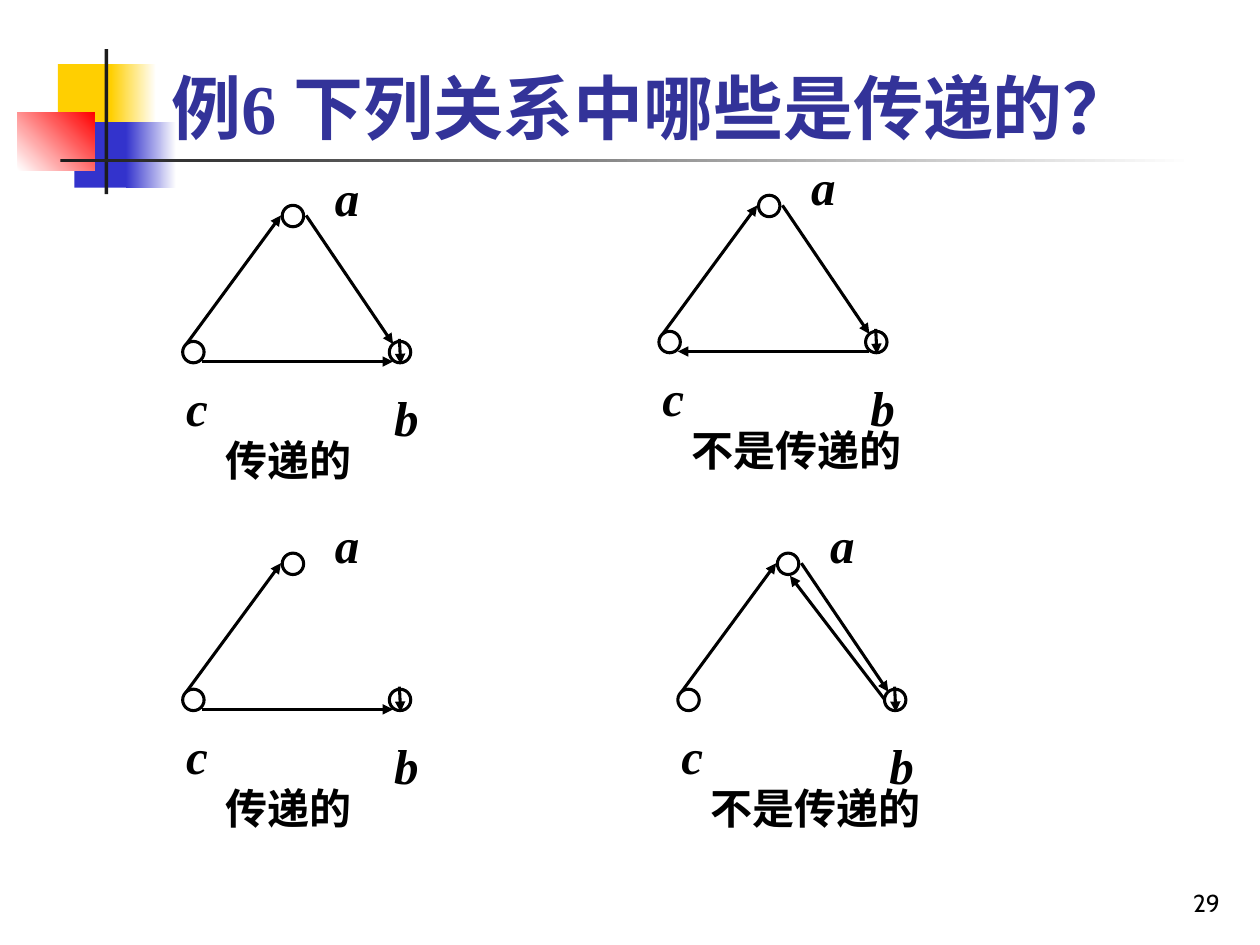
from dataclasses import dataclass

import pptx
import pptx.dml.color
import pptx.enum.shapes
import pptx.enum.text
import pptx.oxml
import pptx.oxml.ns
import pptx.util
from pptx.util import Inches

SHAPES = pptx.enum.shapes.MSO_SHAPE
ALIGN = pptx.enum.text.PP_ALIGN
ANCHOR = pptx.enum.text.MSO_ANCHOR


@dataclass(frozen=True)
class Theme:
    text: str = "000000"
    title: str = "333399"
    white: str = "FFFFFF"
    yellow: str = "FFCF01"
    blue: str = "3333CC"
    red: str = "FF0000"
    rule: str = "1C1C1C"
    font: str = "Times New Roman"
    number_font: str = "Cabin"
    title_size: int = 40
    label_size: int = 28
    caption_size: int = 24
    number_size: int = 14
    line_width: float = 1.75


THEME = Theme()

# Positions inside one graph, measured from its top left corner
NODE_SIZE = 0.17
NODES = {"a": (0.86, 0.4), "b": (1.71, 1.48), "c": (0.07, 1.48)}
LABELS = {"a": (1.18, 0), "b": (1.65, 1.75), "c": (0, 1.67)}
EDGES = {
    "ab": ((1.05, 0.48), (1.74, 1.5)),
    "ba": ((1.71, 1.56), (0.96, 0.58)),
    "bb": ((1.79, 1.46), (1.8, 1.66)),
    "ca": ((0.1, 1.5), (0.85, 0.48)),
    "cb": ((0.22, 1.64), (1.74, 1.64)),
    "bc": ((1.74, 1.64), (0.22, 1.64)),
}
GRAPHS = [
    (1.38, 1.23, ("ab", "bb", "ca", "cb"), True),
    (5.16, 1.15, ("ab", "bb", "ca", "bc"), False),
    (1.38, 3.99, ("bb", "ca", "cb"), True),
    (5.31, 3.99, ("ab", "bb", "ca", "ba"), False),
]


def rgb(color):
    return pptx.dml.color.RGBColor.from_string(color)


def write_text(shape, text, size, color=THEME.text, font=THEME.font, bold=True,
               italic=False, align=ALIGN.LEFT, anchor=ANCHOR.TOP, spacing=1.0):
    frame = shape.text_frame
    frame.word_wrap = True
    frame.vertical_anchor = anchor
    paragraph = frame.paragraphs[0]
    paragraph.alignment = align
    paragraph.line_spacing = spacing
    run = paragraph.add_run()
    run.text = text
    run.font.size = pptx.util.Pt(size)
    run.font.name = font
    run.font.bold = bold
    run.font.italic = italic
    run.font.color.rgb = rgb(color)


def add_text(shapes, left, top, width, height, text, size, **text_format):
    box = shapes.add_textbox(Inches(left), Inches(top), Inches(width), Inches(height))
    write_text(box, text, size, **text_format)


def add_block(slide, left, top, width, height, color, end_color=None, angle=0):
    """Add a plain rectangle, or one fading to end_color along a counter-clockwise angle."""
    block = slide.shapes.add_shape(SHAPES.RECTANGLE, Inches(left), Inches(top),
                                   Inches(width), Inches(height))
    block.shadow.inherit = False
    block.line.fill.background()
    if end_color is None:
        block.fill.solid()
        block.fill.fore_color.rgb = rgb(color)
        return
    block.fill.gradient()
    block.fill.gradient_angle = angle
    for stop, stop_color in zip(block.fill.gradient_stops, (color, end_color)):
        stop.color.rgb = rgb(stop_color)


def style_line(line):
    line.color.rgb = rgb(THEME.text)
    line.width = pptx.util.Pt(THEME.line_width)


def add_node(shapes, left, top):
    node = shapes.add_shape(SHAPES.OVAL, Inches(left), Inches(top),
                            Inches(NODE_SIZE), Inches(NODE_SIZE))
    node.shadow.inherit = False
    node.fill.background()
    style_line(node.line)


def add_arrow(shapes, start, end):
    arrow = shapes.add_connector(pptx.enum.shapes.MSO_CONNECTOR.STRAIGHT,
                                 *(Inches(value) for value in (*start, *end)))
    style_line(arrow.line)
    properties = arrow.element.spPr
    head = pptx.oxml.parse_xml(
        f'<a:tailEnd {pptx.oxml.ns.nsdecls("a")} type="triangle"/>')
    properties.find(pptx.oxml.ns.qn("a:ln")).append(head)
    properties.append(pptx.oxml.parse_xml(
        f'<a:effectLst {pptx.oxml.ns.nsdecls("a")}/>'))


def add_graph(slide, left, top, edges, transitive):
    def place(point):
        return left + point[0], top + point[1]

    shapes = slide.shapes.add_group_shape().shapes
    for name, position in NODES.items():
        add_node(shapes, *place(position))
        add_text(shapes, *place(LABELS[name]), 0.47, 0.62, name,
                 THEME.label_size, italic=True, spacing=1.1)
    for edge in edges:
        start, end = EDGES[edge]
        add_arrow(shapes, place(start), place(end))

    caption, offset = ("传递的", 0.31) if transitive else ("不是传递的", 0.23)
    add_text(slide.shapes, *place((offset, 2.13)), 2.05, 0.54, caption,
             THEME.caption_size, spacing=1.1)


def add_decoration(slide):
    add_block(slide, 0.46, 0.51, 0.48, 0.52, THEME.yellow)
    add_block(slide, 0.88, 0.51, 0.36, 0.52, THEME.yellow, THEME.white)
    add_block(slide, 0.59, 0.97, 0.46, 0.52, THEME.blue)
    add_block(slide, 1, 0.97, 0.4, 0.52, THEME.blue, THEME.white)
    add_block(slide, 0.14, 0.89, 0.61, 0.46, THEME.white, THEME.red, angle=45)
    add_block(slide, 0.83, 0.39, 0.03, 1.15, THEME.rule)
    add_block(slide, 0.48, 1.26, 9, 0.03, THEME.rule, THEME.white)


def add_title(slide, text):
    title = slide.shapes.title
    title.left, title.top = Inches(1.26), Inches(0.39)
    title.width, title.height = Inches(8.52), Inches(0.84)
    write_text(title, text, THEME.title_size, color=THEME.title, anchor=ANCHOR.BOTTOM)
    # Bring the title in front of the decoration
    slide.shapes.element.append(title.element)


def main():
    presentation = pptx.Presentation()
    presentation.slide_width, presentation.slide_height = Inches(10), Inches(7.5)
    slide = presentation.slides.add_slide(presentation.slide_layouts[5])
    add_decoration(slide)
    add_text(slide.shapes, 7.7, 6.83, 2.08, 0.5, "29", THEME.number_size,
             font=THEME.number_font, bold=False, align=ALIGN.RIGHT, anchor=ANCHOR.BOTTOM)
    add_title(slide, "例6 下列关系中哪些是传递的？")
    for graph in GRAPHS:
        add_graph(slide, *graph)
    presentation.save("out.pptx")


if __name__ == "__main__":
    main()
